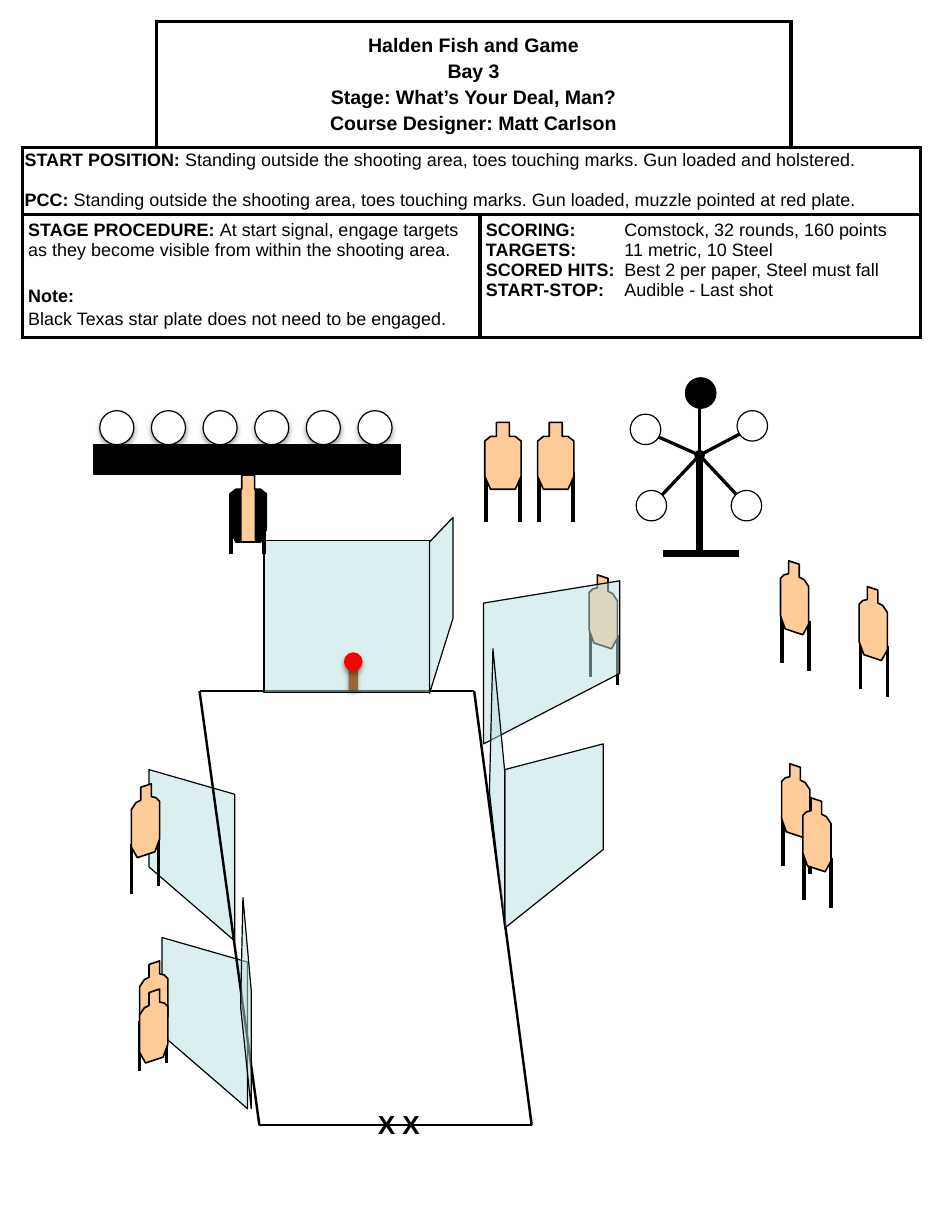
from dataclasses import dataclass
from lxml.etree import SubElement
from pptx import Presentation
from pptx.dml.color import RGBColor
from pptx.enum.shapes import MSO_CONNECTOR, MSO_SHAPE
from pptx.enum.text import MSO_ANCHOR, MSO_AUTO_SIZE, PP_ALIGN
from pptx.oxml.ns import qn
from pptx.util import Inches, Pt


@dataclass(frozen=True)
class Theme:
    font: str = "Arial"
    black: str = "000000"
    white: str = "FFFFFF"
    cardboard: str = "FFCC99"
    wall: str = "BBE0E3"
    wood: str = "996633"
    red: str = "FF0000"
    heading: int = 12
    body: int = 11
    mark: int = 16
    hairline: float = 0.75
    edge: float = 1
    fault: float = 1.5
    arm: float = 2
    leg: float = 2.25
    post: float = 4.5


THEME = Theme()
FRONT = [(.10, 0), (.21, 0), (.21, .12), (.26, .12), (.31, .16), (.31, .46),
         (.26, .57), (.05, .57), (0, .46), (0, .16), (.05, .12), (.10, .12)]
FRONT_LEGS = [(.01, .42), (.30, .42)]
COVER = [(.10, .12), (.10, .57), (.05, .57), (0, .46), (0, .16), (.05, .12)]
ANGLED = [(.16, .03), (.07, 0), (.07, .11), (.03, .12), (0, .15), (0, .47),
          (.04, .58), (.19, .63), (.24, .54), (.24, .22), (.20, .16), (.16, .14)]
ANGLED_LEGS = [(.24, .51), (.01, .44)]
LEFT_WALL = [(0, .83), (.73, 1.46), (.73, .21), (0, 0)]


def mirror(points, width):
    return [(width - x, y) for x, y in points]


def paint(shape, fill, line=THEME.black, width=THEME.hairline):
    shape.shadow.inherit = False
    shape.fill.solid()
    shape.fill.fore_color.rgb = RGBColor.from_string(fill)
    if line:
        shape.line.color.rgb = RGBColor.from_string(line)
        shape.line.width = Pt(width)
    else:
        shape.line.fill.background()
    return shape


def see_through(shape):
    color = shape.element.spPr.find(qn("a:solidFill")).find(qn("a:srgbClr"))
    SubElement(color, qn("a:alpha"), val="50000")


def drop_shadow(shape):
    effects = shape.element.spPr.find(qn("a:effectLst"))
    outer = SubElement(effects, qn("a:outerShdw"), blurRad=str(Pt(3.1)),
                       dist=str(Pt(1.8)), dir="5400000", rotWithShape="0")
    color = SubElement(outer, qn("a:srgbClr"), val=THEME.black)
    SubElement(color, qn("a:alpha"), val="35000")


def segment(shapes, start, end, width):
    line = shapes.add_connector(MSO_CONNECTOR.STRAIGHT, *map(Inches, start + end))
    line.line.color.rgb = RGBColor.from_string(THEME.black)
    line.line.width = Pt(width)
    SubElement(line.element.spPr, qn("a:effectLst"))


def preset(shapes, kind, left, top, width, height, fill, line=THEME.black):
    box = map(Inches, (left, top, width, height))
    return paint(shapes.add_shape(kind, *box), fill, line)


def outline(shapes, left, top, points, fill, line=THEME.black, width=THEME.hairline):
    corners = [(Inches(left + x), Inches(top + y)) for x, y in points]
    builder = shapes.build_freeform(*corners[0])
    builder.add_line_segments(corners[1:], close=True)
    return paint(builder.convert_to_shape(), fill, line, width)


def wall(slide, left, top, corners):
    see_through(outline(slide.shapes, left, top, corners, THEME.wall))


def target(slide, left, top, body, legs, leg_length=.43):
    shapes = slide.shapes.add_group_shape().shapes
    for x, y in legs:
        foot = (left + x, top + y + leg_length)
        segment(shapes, (left + x, top + y), foot, THEME.leg)
    outline(shapes, left, top, body, THEME.cardboard, width=THEME.edge)
    return shapes


def covered_target(slide, left, top):
    shapes = target(slide, left, top, FRONT, [(.01, .24), (.29, .24)])
    for side in (COVER, mirror(COVER, .31)):
        outline(shapes, left, top, side, THEME.black, None)


def texas_star(slide, left, top, plate=.26):
    shapes = slide.shapes.add_group_shape().shapes
    hub = (left + .59, top + .66)
    for x, y in [(.23, .50), (.59, .25), (.93, .48), (.90, .99), (.25, 1.02)]:
        segment(shapes, hub, (left + x, top + y), THEME.arm)
    plates = [(0, .31, THEME.white), (.47, 0, THEME.black), (.91, .28, THEME.white),
              (.86, .96, THEME.white), (.05, .96, THEME.white)]
    for x, y, fill in plates:
        preset(shapes, MSO_SHAPE.OVAL, left + x, top + y, plate, plate, fill)
    preset(shapes, MSO_SHAPE.OVAL, left + .55, top + .62, .08, .08, THEME.black)
    segment(shapes, hub, (left + .59, top + 1.5), THEME.post)
    segment(shapes, (left + .28, top + 1.5), (left + .93, top + 1.5), THEME.post)


def plate_rack(slide, left, top, width, height, plate=.29):
    shapes = slide.shapes.add_group_shape().shapes
    preset(shapes, MSO_SHAPE.RECTANGLE, left, top, width, height, THEME.black)
    for index in range(6):
        x = left + .05 + index * .44
        drop_shadow(preset(shapes, MSO_SHAPE.OVAL, x, top - plate, plate, plate, THEME.white))


def red_plate(slide, left, top):
    shapes = slide.shapes.add_group_shape().shapes
    drop_shadow(preset(shapes, MSO_SHAPE.RECTANGLE, left + .04, top + .10, .08, .22, THEME.wood, None))
    drop_shadow(preset(shapes, MSO_SHAPE.OVAL, left, top, .16, .16, THEME.red, None))


def shooting_area(slide, left, top):
    corners = [(left + x, top + y) for x, y in [(0, 0), (2.34, 0), (2.83, 3.7), (.51, 3.7)]]
    for start, end in zip(corners, corners[1:] + corners[:1]):
        segment(slide.shapes, start, end, THEME.fault)


def add_run(paragraph, text, size, bold):
    run = paragraph.add_run()
    run.text = text
    run.font.name = THEME.font
    run.font.size = Pt(size)
    run.font.bold = bold
    run.font.color.rgb = RGBColor.from_string(THEME.black)


def fill_cell(cell, lines, size=THEME.body, gaps=(), inset=(.05, .05), spacing=None, align=None, tab=None):
    cell.margin_left = cell.margin_right = Inches(inset[0])
    cell.margin_top = cell.margin_bottom = Inches(inset[1])
    frame = cell.text_frame
    for index, (label, detail) in enumerate(lines):
        paragraph = frame.add_paragraph() if index else frame.paragraphs[0]
        if index and gaps:
            paragraph.space_before = Pt(gaps[index - 1])
        if spacing:
            paragraph.line_spacing = spacing
        if align:
            paragraph.alignment = align
        if tab:
            stops = SubElement(paragraph._p.get_or_add_pPr(), qn("a:tabLst"))
            SubElement(stops, qn("a:tab"), pos=str(Inches(tab)), algn="l")
        for text, bold in ((label, True), (detail, False)):
            if text:
                add_run(paragraph, text, size, bold)


def border_cell(cell, sides):
    properties = cell._tc.get_or_add_tcPr()
    for side in "LRTB":
        edge = SubElement(properties, qn("a:ln" + side), w=str(Pt(THEME.leg)))
        if side in sides:
            SubElement(SubElement(edge, qn("a:solidFill")), qn("a:srgbClr"), val=THEME.black)
        else:
            SubElement(edge, qn("a:noFill"))
    cell.fill.solid()
    cell.fill.fore_color.rgb = RGBColor.from_string(THEME.white)


def briefing(slide, left, top):
    widths, heights = (1.14, 2.76, 2.65, 1.1), (1.08, .56, 1.05)
    box = map(Inches, (left, top, sum(widths), sum(heights)))
    table = slide.shapes.add_table(3, 4, *box).table
    table.first_row = table.horz_banding = False
    for column, width in zip(table.columns, widths):
        column.width = Inches(width)
    for row, height in zip(table.rows, heights):
        row.height = Inches(height)
    for r in range(3):
        for c in range(4):
            border_cell(table.cell(r, c), {(0, 0): "RB", (0, 3): "LB"}.get((r, c), "LRTB"))
    for r, first, last in [(0, 1, 2), (1, 0, 3), (2, 0, 1), (2, 2, 3)]:
        table.cell(r, first).merge(table.cell(r, last))
    heading = table.cell(0, 1)
    heading.vertical_anchor = MSO_ANCHOR.MIDDLE
    fill_cell(heading, [("Halden Fish and Game", ""), ("Bay 3", ""), ("Stage: What’s Your Deal, Man?", ""),
                        ("Course Designer: Matt Carlson", "")],
              THEME.heading, (2.4, 2.4, 2.4), align=PP_ALIGN.CENTER)
    fill_cell(table.cell(1, 0), [
        ("START POSITION:", " Standing outside the shooting area, toes touching marks. Gun loaded and holstered."),
        ("PCC: ", "Standing outside the shooting area, toes touching marks. Gun loaded, muzzle pointed at red plate."),
    ], gaps=(13,), inset=(.02, .04), spacing=.9)
    fill_cell(table.cell(2, 0), [
        ("STAGE PROCEDURE: ",
         "At start signal, engage targets as they become visible from within the shooting area."),
        ("Note:", ""), ("", "Black Texas star plate does not need to be engaged.")], gaps=(16, 2.2))
    fill_cell(table.cell(2, 2), [
        ("SCORING:", "\tComstock, 32 rounds, 160 points"), ("TARGETS:", "\t11 metric, 10 Steel"),
        ("SCORED HITS:", "\tBest 2 per paper, Steel must fall"), ("START-STOP:", "\tAudible - Last shot")], tab=1.18)


def start_marks(slide, left, top, width, height):
    frame = slide.shapes.add_textbox(*map(Inches, (left, top, width, height))).text_frame
    frame.word_wrap = False
    frame.auto_size = MSO_AUTO_SIZE.SHAPE_TO_FIT_TEXT
    add_run(frame.paragraphs[0], "X X", THEME.mark, True)


def course(slide):
    left_facing = mirror(ANGLED, .24), mirror(ANGLED_LEGS, .24)
    target(slide, 5.02, 4.9, ANGLED, ANGLED_LEGS)
    wall(slide, 4.12, 4.95, [(1.16, .79), (0, 1.39), (0, .19), (1.16, 0)])
    texas_star(slide, 5.37, 3.22)
    wall(slide, 1.38, 7.99, LEFT_WALL)
    target(slide, 1.19, 8.19, *left_facing)
    target(slide, 1.19, 8.43, left_facing[0], [])
    wall(slide, 1.27, 6.56, LEFT_WALL)
    target(slide, 1.12, 6.68, *left_facing)
    shooting_area(slide, 1.7, 5.89)
    wall(slide, 4.3, 6.34, [(.84, .9), (0, 1.57), (0, .22), (.84, 0)])
    for left, top in [(6.66, 6.51), (6.84, 6.8), (6.65, 4.78), (7.32, 5)]:
        target(slide, left, top, ANGLED, ANGLED_LEGS)
    wall(slide, 3.66, 4.41, [(.2, .86), (0, 1.5), (0, .21), (.2, 0)])
    for left in (4.58, 4.13):
        target(slide, left, 3.6, FRONT, FRONT_LEGS)
    see_through(preset(slide.shapes, MSO_SHAPE.RECTANGLE, 2.25, 4.61, 1.41, 1.29, THEME.wall))
    red_plate(slide, 2.93, 5.56)
    wall(slide, 4.17, 5.53, [(.13, 2.37), (0, 1.22), (.03, 0), (.13, 1.04)])
    wall(slide, 2.05, 7.65, [(.09, 1.8), (0, .93), (.02, 0), (.09, .79)])
    plate_rack(slide, .8, 3.79, 2.61, .25)
    covered_target(slide, 1.96, 4.05)


def main():
    deck = Presentation()
    deck.slide_width, deck.slide_height = Inches(8), Inches(10.5)
    slide = deck.slides.add_slide(deck.slide_layouts[6])
    briefing(slide, .19, .18)
    start_marks(slide, 3.12, 9.4, .58, .37)
    course(slide)
    deck.save("out.pptx")


if __name__ == "__main__":
    main()
